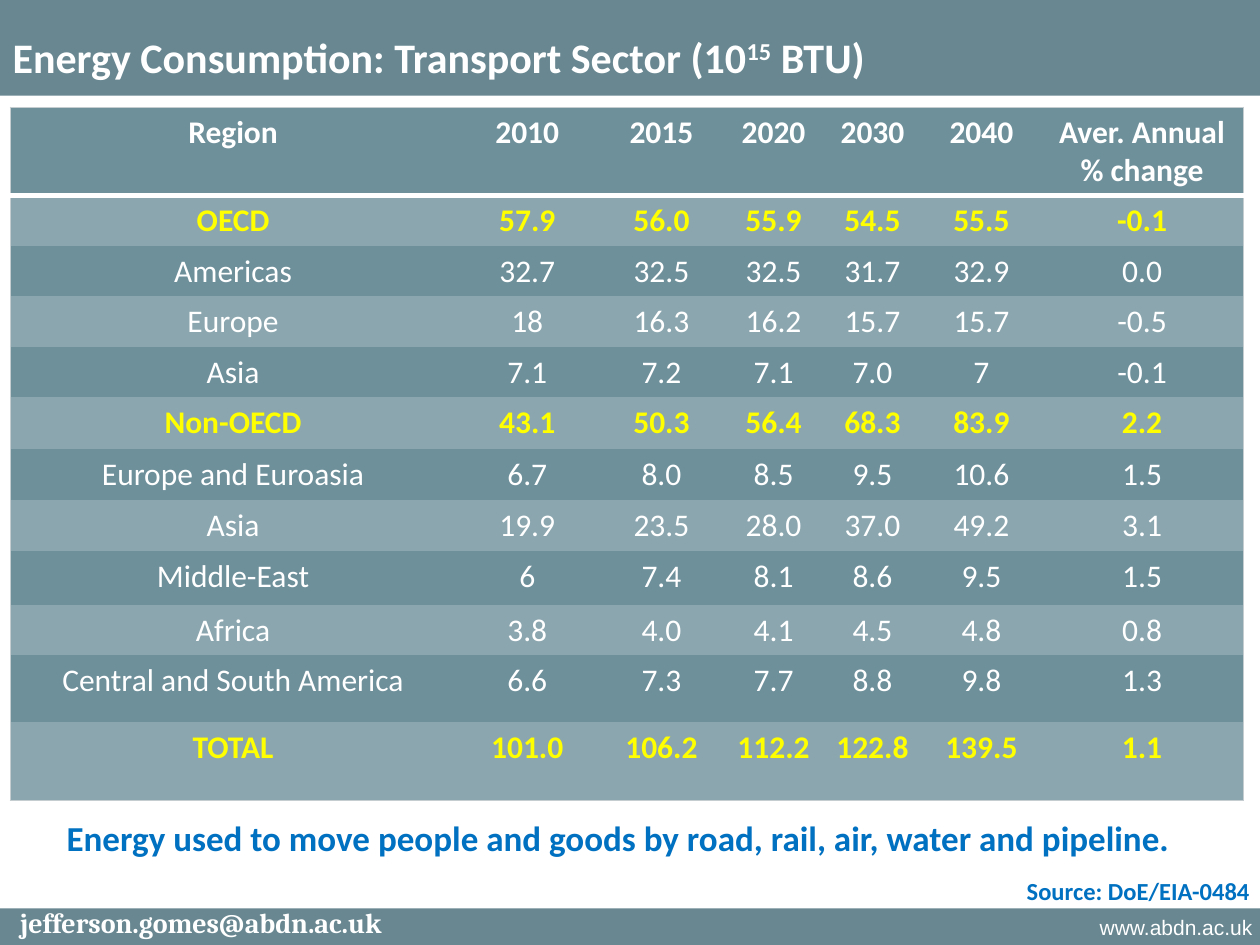
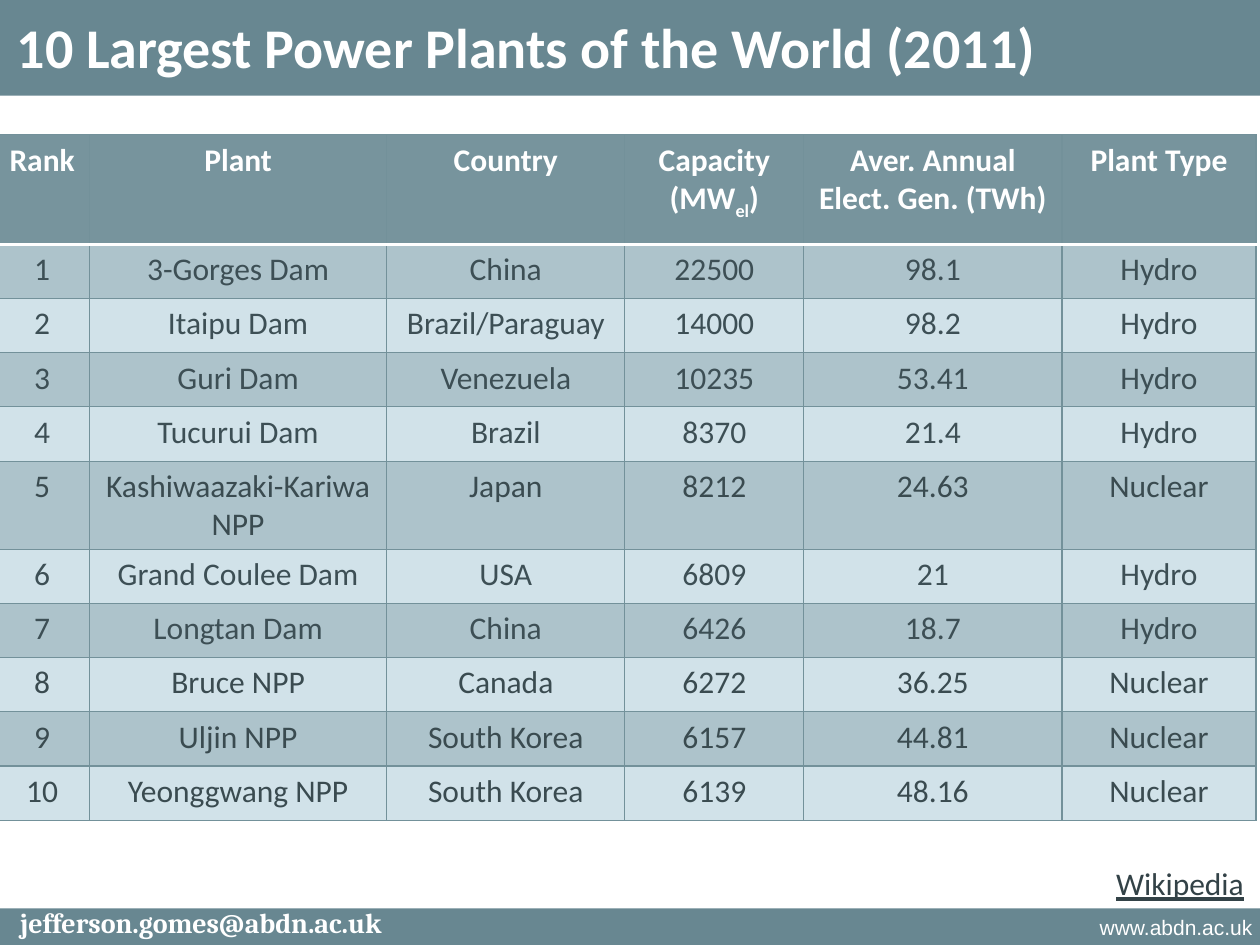
from dataclasses import dataclass, replace
from typing import NamedTuple, Optional

from lxml.etree import SubElement
from pptx import Presentation
from pptx.dml.color import RGBColor
from pptx.enum.shapes import MSO_SHAPE
from pptx.enum.text import MSO_ANCHOR, MSO_AUTO_SIZE, PP_ALIGN
from pptx.oxml.ns import qn
from pptx.util import Inches, Pt

WIDTH, HEIGHT = 10, 7.5
TITLE_ONLY = 5
PLAIN_TABLE = "{2D5ABB26-0587-4C30-8999-92F81FD0307C}"


@dataclass(frozen=True)
class TextStyle:
    size: float
    color: str
    font: str = "Calibri"
    bold: bool = False
    underline: bool = False


class Theme:
    band = "688791"
    white = "FFFFFF"
    consumption_outline = "C5CDD1"
    consumption_dark = "6E909B"
    consumption_light = "8BA6AF"
    plants_grid = "73919A"
    plants_header = "77949D"
    plants_dark = "ADC3CB"
    plants_light = "D1E2E9"

    title = TextStyle(24, white, bold=True)
    large_title = replace(title, size=32)
    website = TextStyle(12, white, "Arial")
    email = TextStyle(16, white, "Cambria", bold=True)
    header = TextStyle(18, white, bold=True)
    cell = replace(header, bold=False)
    total = replace(header, color="FFFF00")
    hydro = TextStyle(18, "3D4F55")
    nuclear = replace(hydro, color="3A4B50")
    caption = TextStyle(20, "0070C0", bold=True)
    source = replace(caption, size=14)
    reference = TextStyle(18, "334247", underline=True)


class Box(NamedTuple):
    left: float
    top: float
    width: float
    height: float

    def lengths(self) -> list:
        return [Inches(length) for length in self]


class Border(NamedTuple):
    color: str
    width: float


@dataclass(frozen=True)
class TableDesign:
    header_fill: str
    row_fills: tuple
    outline: Border
    grid: Optional[Border]
    header_rule: Border
    body: TextStyle
    accent: TextStyle
    accent_words: tuple


TOP_BAND = Box(0, 0, WIDTH, 0.76)
FOOTER_BAND = Box(0, 7.21, WIDTH, HEIGHT - 7.21)
WEBSITE_BOX = Box(7.44, 7.21, 2.6, 0.36)
EMAIL_BOX = Box(0, 7.17, 3.19, 0.33)

CONSUMPTION_DESIGN = TableDesign(
    Theme.consumption_dark, (Theme.consumption_light, Theme.consumption_dark),
    Border(Theme.consumption_outline, 0.75), None, Border(Theme.white, 3),
    Theme.cell, Theme.total, ("OECD", "Non-OECD", "TOTAL"))
PLANTS_DESIGN = TableDesign(
    Theme.plants_header, (Theme.plants_dark, Theme.plants_light),
    Border(Theme.plants_grid, 0.75), Border(Theme.plants_grid, 0.75),
    Border(Theme.white, 2), Theme.hydro, Theme.nuclear, ("Nuclear",))

CONSUMPTION = [
    ("Region", "2010", "2015", "2020", "2030", "2040", "Aver. Annual % change"),
    ("OECD", "57.9", "56.0", "55.9", "54.5", "55.5", "-0.1"),
    ("Americas", "32.7", "32.5", "32.5", "31.7", "32.9", "0.0"),
    ("Europe", "18", "16.3", "16.2", "15.7", "15.7", "-0.5"),
    ("Asia", "7.1", "7.2", "7.1", "7.0", "7", "-0.1"),
    ("Non-OECD", "43.1", "50.3", "56.4", "68.3", "83.9", "2.2"),
    ("Europe and Euroasia", "6.7", "8.0", "8.5", "9.5", "10.6", "1.5"),
    ("Asia", "19.9", "23.5", "28.0", "37.0", "49.2", "3.1"),
    ("Middle-East", "6", "7.4", "8.1", "8.6", "9.5", "1.5"),
    ("Africa", "3.8", "4.0", "4.1", "4.5", "4.8", "0.8"),
    ("Central and South America", "6.6", "7.3", "7.7", "8.8", "9.8", "1.3"),
    ("TOTAL", "101.0", "106.2", "112.2", "122.8", "139.5", "1.1"),
]
CONSUMPTION_COLUMNS = (3.54, 1.13, 1, 0.78, 0.79, 0.94, 1.61)
CONSUMPTION_ROWS = (0.69, *[0.4] * 4, 0.41, 0.41, 0.4, 0.43, 0.4, 0.53, 0.62)

PLANTS = [
    ("Rank", "Plant", "Country", "Capacity (MW|el|)",
     "Aver. Annual Elect. Gen. (TWh)", "Plant Type"),
    ("1", "3-Gorges Dam", "China", "22500", "98.1", "Hydro"),
    ("2", "Itaipu Dam", "Brazil/Paraguay", "14000", "98.2", "Hydro"),
    ("3", "Guri Dam", "Venezuela", "10235", "53.41", "Hydro"),
    ("4", "Tucurui Dam", "Brazil", "8370", "21.4", "Hydro"),
    ("5", "Kashiwaazaki-Kariwa\nNPP", "Japan", "8212", "24.63", "Nuclear"),
    ("6", "Grand Coulee Dam", "USA", "6809", "21", "Hydro"),
    ("7", "Longtan Dam", "China", "6426", "18.7", "Hydro"),
    ("8", "Bruce NPP", "Canada", "6272", "36.25", "Nuclear"),
    ("9", "Uljin NPP", "South Korea", "6157", "44.81", "Nuclear"),
    ("10", "Yeonggwang NPP", "South Korea", "6139", "48.16", "Nuclear"),
]
PLANTS_COLUMNS = (0.75, 2.36, 1.89, 1.42, 2.05, 1.54)
PLANTS_ROWS = (0.87, *[0.43] * 4, 0.56, *[0.43] * 5)


def write(frame, text: str, style: TextStyle, align=PP_ALIGN.LEFT, shift: int = 0) -> None:
    """Fill a text frame; text between bars is raised or lowered by shift percent."""
    frame.text = text
    for paragraph in frame.paragraphs:
        paragraph.alignment = align
        first, *others = paragraph.text.split("|")
        paragraph.text = first
        for part in others:
            paragraph.add_run().text = part
        for index, span in enumerate(paragraph.runs):
            font = span.font
            font.name, font.size = style.font, Pt(style.size)
            font.bold, font.underline = style.bold, style.underline
            font.color.rgb = RGBColor.from_string(style.color)
            if index % 2:
                font._element.set("baseline", str(shift * 1000))


def add_text(page, box: Box, text: str, style: TextStyle, align=PP_ALIGN.LEFT, wrap: bool = True):
    shape = page.shapes.add_textbox(*box.lengths())
    shape.text_frame.word_wrap = wrap
    write(shape.text_frame, text, style, align)
    return shape


def add_band(page, box: Box):
    band = page.shapes.add_shape(MSO_SHAPE.RECTANGLE, *box.lengths())
    band.shadow.inherit = False
    band.fill.solid()
    band.fill.fore_color.rgb = RGBColor.from_string(Theme.band)
    band.line.fill.background()
    return band


def dress_master(deck, page) -> None:
    """Draw the shared bands and web address, then move them behind the master's placeholders."""
    shared = [add_band(page, FOOTER_BAND), add_band(page, TOP_BAND),
              add_text(page, WEBSITE_BOX, "www.abdn.ac.uk", Theme.website, PP_ALIGN.RIGHT)]
    tree = deck.slide_master.shapes.element
    for index, shape in enumerate(shared):
        shape.element.nvSpPr.cNvPr.set("id", str(100 + index))
        tree.insert(2 + index, shape.element)


def add_email(page) -> None:
    box = add_text(page, EMAIL_BOX, "jefferson.gomes@abdn.ac.uk", Theme.email, PP_ALIGN.CENTER)
    box.text_frame.paragraphs[0].line_spacing = 0.9


def set_title(page, box: Box, text: str, style: TextStyle, align=PP_ALIGN.LEFT) -> None:
    title = page.shapes.title
    title.left, title.top, title.width, title.height = box.lengths()
    frame = title.text_frame
    frame.word_wrap = True
    frame.auto_size = MSO_AUTO_SIZE.NONE
    frame.vertical_anchor = MSO_ANCHOR.TOP
    write(frame, text, style, align, shift=30)


def set_border(cell, side: str, border: Border) -> None:
    line = SubElement(cell._tc.get_or_add_tcPr(), qn(f"a:ln{side}"), w=str(Pt(border.width)))
    fill = SubElement(line, qn("a:solidFill"))
    SubElement(fill, qn("a:srgbClr"), val=border.color)


def add_data_table(page, left: float, top: float, columns: tuple, heights: tuple,
                   rows: list, design: TableDesign) -> None:
    box = Box(left, top, sum(columns), sum(heights))
    frame = page.shapes.add_table(len(rows), len(columns), *box.lengths())
    table = frame.table
    table.horz_banding = False
    frame.element.find(f".//{qn('a:tableStyleId')}").text = PLAIN_TABLE
    for column, width in zip(table.columns, columns):
        column.width = Inches(width)
    last_row, last_column = len(rows) - 1, len(columns) - 1

    for r, values in enumerate(rows):
        table.rows[r].height = Inches(heights[r])
        if r == 0:
            style, fill = Theme.header, design.header_fill
        else:
            accented = any(word in values for word in design.accent_words)
            style = design.accent if accented else design.body
            fill = design.row_fills[(r - 1) % 2]
        for c, value in enumerate(values):
            cell = table.cell(r, c)
            write(cell.text_frame, value, style, PP_ALIGN.CENTER, shift=-25)
            borders = {
                "L": design.outline if c == 0 else design.grid,
                "R": design.outline if c == last_column else design.grid,
                "T": design.outline if r == 0 else design.grid if r > 1 else None,
                "B": (design.header_rule if r == 0 else
                      design.outline if r == last_row else design.grid),
            }
            for side, border in borders.items():
                if border:
                    set_border(cell, side, border)
            cell.fill.solid()
            cell.fill.fore_color.rgb = RGBColor.from_string(fill)


def build_consumption(page) -> None:
    add_email(page)
    set_title(page, Box(0, 0.2, 7.13, 0.5),
              "Energy Consumption: Transport Sector (10|15| BTU)", Theme.title)
    add_data_table(page, 0.08, 0.85, CONSUMPTION_COLUMNS, CONSUMPTION_ROWS,
                   CONSUMPTION, CONSUMPTION_DESIGN)
    add_text(page, Box(0.43, 6.43, 9.15, 0.44),
             "Energy used to move people and goods by road, rail, air, water and pipeline.",
             Theme.caption)
    add_text(page, Box(8.05, 6.9, 1.99, 0.34), "Source: DoE/EIA-0484", Theme.source, wrap=False)


def build_plants(page) -> None:
    add_email(page)
    add_data_table(page, -0.04, 1.07, PLANTS_COLUMNS, PLANTS_ROWS, PLANTS, PLANTS_DESIGN)
    add_text(page, Box(8.76, 6.81, 1.23, 0.4), "Wikipedia", Theme.reference, wrap=False)
    set_title(page, Box(-0.02, 0.05, 8.4, 0.64), "10 Largest Power Plants of the World (2011)",
              Theme.large_title, PP_ALIGN.CENTER)


def main() -> None:
    deck = Presentation()
    deck.slide_width, deck.slide_height = Inches(WIDTH), Inches(HEIGHT)
    layout = deck.slide_layouts[TITLE_ONLY]
    consumption, plants = (deck.slides.add_slide(layout) for _ in range(2))
    dress_master(deck, consumption)
    build_consumption(consumption)
    build_plants(plants)
    deck.save("out.pptx")


if __name__ == "__main__":
    main()
